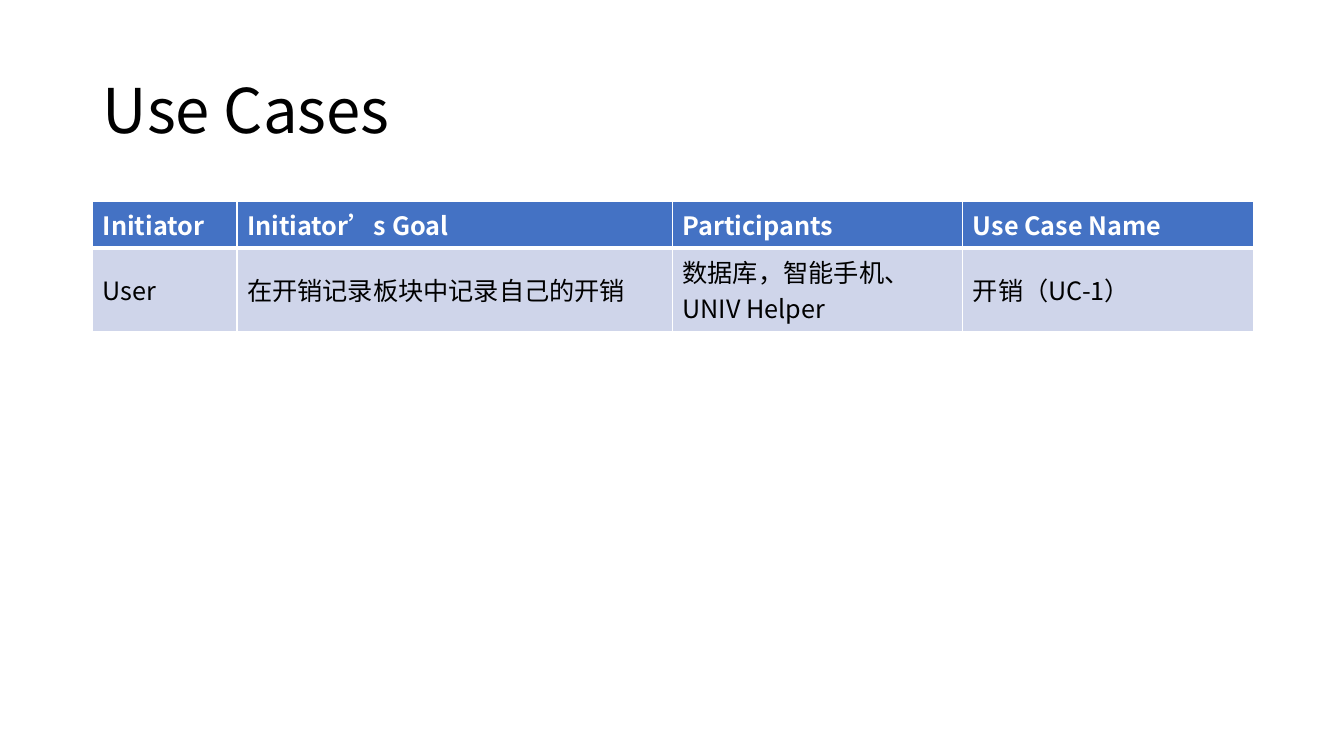
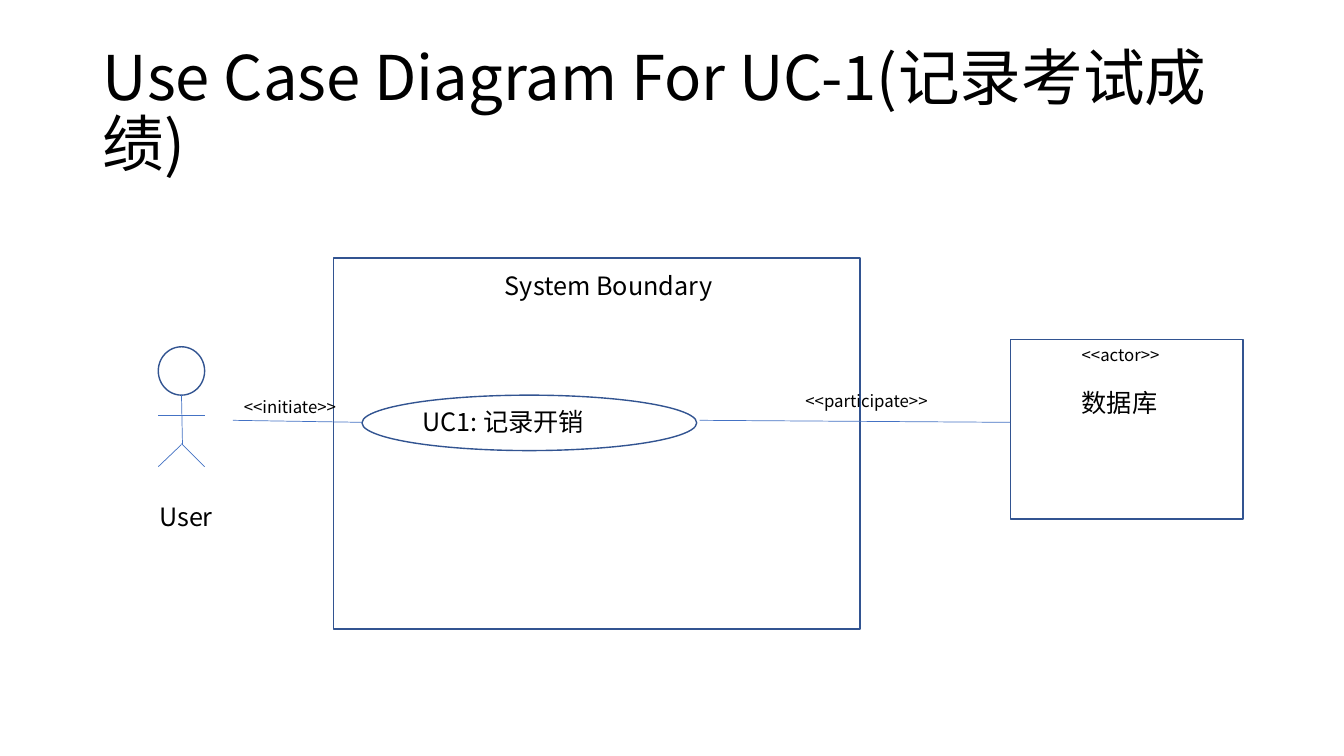
from lxml.etree import SubElement
from pptx import Presentation
from pptx.dml.color import RGBColor
from pptx.enum.shapes import MSO_CONNECTOR, MSO_SHAPE
from pptx.enum.text import MSO_ANCHOR, MSO_AUTO_SIZE, PP_ALIGN
from pptx.oxml import parse_xml
from pptx.oxml.ns import nsdecls, qn
from pptx.util import Inches, Pt

FONT = "Noto Sans CJK SC"
BLACK = RGBColor(0x00, 0x00, 0x00)
WHITE = RGBColor(0xFF, 0xFF, 0xFF)
BLUE = RGBColor(0x44, 0x72, 0xC4)
DARK_BLUE = RGBColor(0x32, 0x54, 0x91)
PALE_BLUE = RGBColor(0xCF, 0xD5, 0xEA)

MARGIN, CONTENT_WIDTH = 0.92, 11.5

USE_CASE_TITLE = "Use Cases"
USE_CASE_ROWS = [
    ("Initiator", "Initiator’s Goal", "Participants", "Use Case Name"),
    ("User", "在开销记录板块中记录自己的开销", "数据库，智能手机、UNIV Helper", "开销（UC-1）"),
]
COLUMN_WIDTHS = (1.43, 4.32, 2.88, 2.88)
ROW_HEIGHT = 0.41

DIAGRAM_TITLE = "Use Case Diagram For UC-1(记录考试成绩)"
# Outlined shapes: preset, left, top, width, height
OUTLINES = [
    (MSO_SHAPE.RECTANGLE, 3.31, 2.56, 5.22, 3.68),  # system boundary
    (MSO_SHAPE.OVAL, 3.59, 3.92, 3.32, 0.55),  # use case
    (MSO_SHAPE.OVAL, 1.57, 3.44, 0.46, 0.48),  # head of the user
    (MSO_SHAPE.RECTANGLE, 10.02, 3.37, 2.31, 1.78),  # database actor
]
# Lines: start x, start y, end x, end y
LINES = [
    (1.57, 4.12, 2.03, 4.12),  # arms
    (1.8, 3.92, 1.81, 4.41),  # body
    (1.8, 4.41, 1.57, 4.63),  # left leg
    (1.8, 4.4, 2.03, 4.63),  # right leg
    (2.31, 4.17, 3.59, 4.19),  # user to use case
    (6.94, 4.17, 10.02, 4.19),  # use case to database
]
# Labels: text, left, top, width, font size
LABELS = [
    ("User", 1.48, 4.92, 0.88, 18),
    ("UC1: 记录开销", 4.09, 3.98, 3.11, 18),
    ("<<initiate>>", 2.32, 3.89, 1.27, 12),
    ("System Boundary", 4.91, 2.63, 2.58, 18),
    ("<<participate>>", 7.89, 3.83, 1.7, 12),
    ("<<actor>>", 10.63, 3.37, 1.7, 12),
    ("数据库", 10.63, 3.79, 1.14, 18),
]
LABEL_HEIGHTS = {18: 0.4, 12: 0.3}


def set_text(text_frame, text, size, color=BLACK, bold=False):
    """Write one left-aligned paragraph in the deck font."""
    text_frame.text = text
    paragraph = text_frame.paragraphs[0]
    paragraph.alignment = PP_ALIGN.LEFT
    for run in paragraph.runs:
        run.font.size = Pt(size)
        run.font.bold = bold
        run.font.color.rgb = color
        run.font.name = FONT
        SubElement(run.font._element, qn("a:ea"), typeface=FONT)


def add_titled_slide(presentation, title_text):
    """Add a title-only slide with the shared title style."""
    slide = presentation.slides.add_slide(presentation.slide_layouts[5])
    title = slide.shapes.title
    title.left, title.top = Inches(MARGIN), Inches(0.4)
    title.width, title.height = Inches(CONTENT_WIDTH), Inches(1.45)
    text_frame = title.text_frame
    set_text(text_frame, title_text, 44)
    text_frame.auto_size = MSO_AUTO_SIZE.NONE
    text_frame.vertical_anchor = MSO_ANCHOR.MIDDLE
    text_frame.paragraphs[0].line_spacing = 0.9
    return slide


def set_borders(cell, top, bottom):
    """Draw white cell borders, with widths in points for top and bottom."""
    properties = cell._tc.get_or_add_tcPr()
    widths = {"lnL": 1, "lnR": 1, "lnT": top, "lnB": bottom}
    for position, (side, width) in enumerate(widths.items()):
        properties.insert(position, parse_xml(
            f'<a:{side} {nsdecls("a")} w="{Pt(width)}"><a:solidFill>'
            f'<a:srgbClr val="{WHITE}"/></a:solidFill></a:{side}>'))


def add_use_case_table(slide):
    """Add the use case table with a blue header row."""
    table = slide.shapes.add_table(
        len(USE_CASE_ROWS), len(COLUMN_WIDTHS), Inches(MARGIN), Inches(2),
        Inches(CONTENT_WIDTH), Inches(ROW_HEIGHT * len(USE_CASE_ROWS))).table
    for column, width in zip(table.columns, COLUMN_WIDTHS):
        column.width = Inches(width)
    for row_index, texts in enumerate(USE_CASE_ROWS):
        header = row_index == 0
        for column_index, text in enumerate(texts):
            cell = table.cell(row_index, column_index)
            set_text(cell.text_frame, text, 18, WHITE if header else BLACK, header)
            cell.vertical_anchor = MSO_ANCHOR.TOP if header else MSO_ANCHOR.MIDDLE
            cell.fill.solid()
            cell.fill.fore_color.rgb = BLUE if header else PALE_BLUE
            set_borders(cell, *((1, 3) if header else (3, 1)))


def add_outline(slide, preset, *box):
    """Add a white shape with a dark blue outline."""
    shape = slide.shapes.add_shape(preset, *map(Inches, box))
    shape.shadow.inherit = False
    shape.fill.solid()
    shape.fill.fore_color.rgb = WHITE
    shape.line.color.rgb = DARK_BLUE
    shape.line.width = Pt(1)


def add_line(slide, *ends):
    """Add a thin blue line without a shadow."""
    connector = slide.shapes.add_connector(MSO_CONNECTOR.STRAIGHT, *map(Inches, ends))
    connector.line.color.rgb = BLUE
    connector.line.width = Pt(0.5)
    SubElement(connector._element.spPr, qn("a:effectLst"))


def add_label(slide, text, left, top, width, size):
    """Add a wrapping text label."""
    box = slide.shapes.add_textbox(
        Inches(left), Inches(top), Inches(width), Inches(LABEL_HEIGHTS[size]))
    box.text_frame.word_wrap = True
    box.text_frame.auto_size = MSO_AUTO_SIZE.SHAPE_TO_FIT_TEXT
    set_text(box.text_frame, text, size)


def main():
    """Build and save both slides."""
    presentation = Presentation()
    presentation.slide_width = Inches(13.33)
    presentation.slide_height = Inches(7.5)

    add_use_case_table(add_titled_slide(presentation, USE_CASE_TITLE))

    diagram = add_titled_slide(presentation, DIAGRAM_TITLE)
    for outline in OUTLINES:
        add_outline(diagram, *outline)
    for line in LINES:
        add_line(diagram, *line)
    for label in LABELS:
        add_label(diagram, *label)

    presentation.save("out.pptx")


main()
